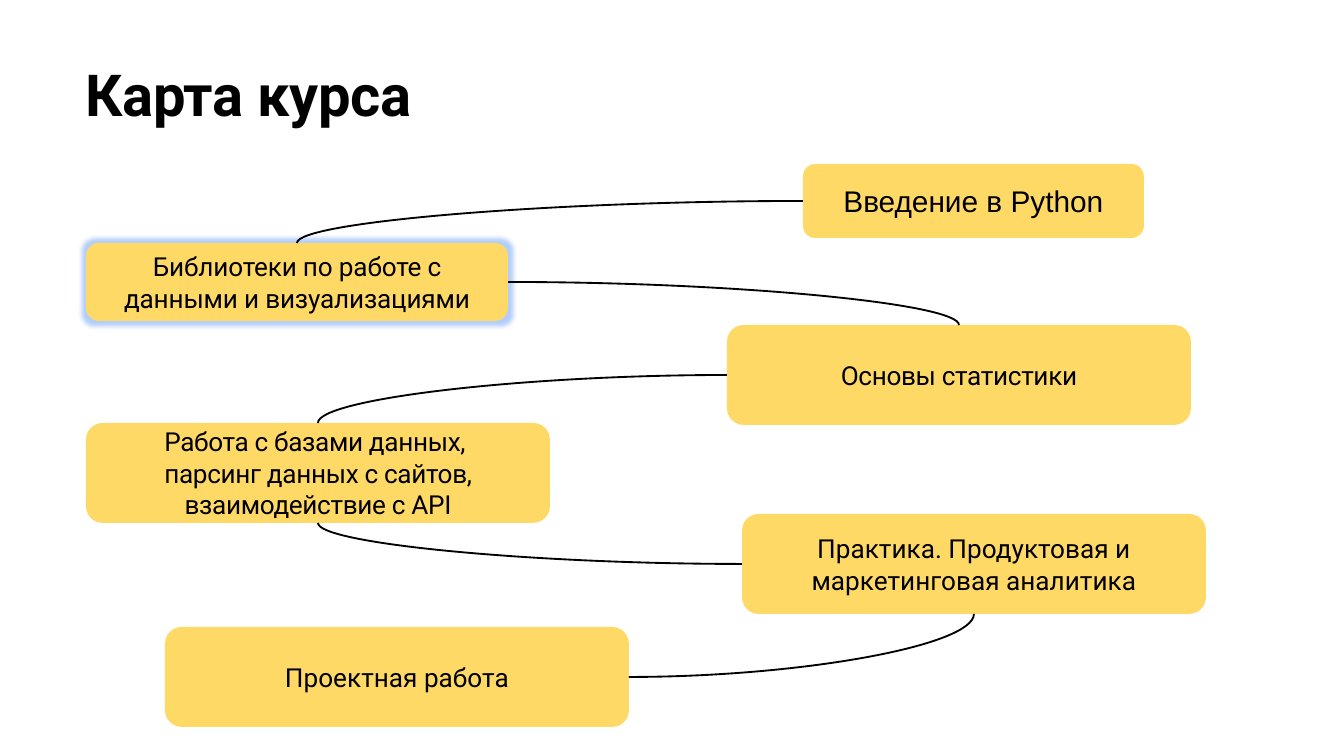
"""Builds the course map slide: six topic boxes joined by curved links."""
import pptx
import pptx.dml.color
import pptx.enum.shapes
import pptx.enum.text
import pptx.oxml
import pptx.oxml.ns
import pptx.util

PX = 914400 / 134.4
SLIDE_SIZE = 1344, 756
BLACK, YELLOW, GLOW = "000000", "FFD966", "4285F4"
TOP, LEFT, BOTTOM, RIGHT = range(4)
BIG = 464, 100

TITLE_AREA = 85, 56, 915, 73
TITLE_SPANS = [("Карта ", -0.3), ("курса", -0.1)]
TITLE_FONT = {"name": "Roboto", "size": pptx.util.Pt(31), "bold": True}
TOPIC_FONT = {"name": "Roboto", "size": pptx.util.Pt(14)}
INTRO_FONT = {"name": "Arial", "size": pptx.util.Pt(16)}

TOPICS = {
    "intro": ("Введение в Python", (803, 164), (341, 74), INTRO_FONT, 0),
    "libraries": ("Библиотеки по работе с данными и визуализациями",
                  (86, 243), (422, 78), TOPIC_FONT, -0.1),
    "statistics": ("Основы статистики", (727, 325), BIG, TOPIC_FONT, -0.2),
    "databases": ("Работа с базами данных, \vпарсинг данных с сайтов, взаимодействие с API",
                  (86, 423), BIG, TOPIC_FONT, -0.2),
    "practice": ("Практика. Продуктовая и маркетинговая аналитика",
                 (742, 514), BIG, TOPIC_FONT, 0),
    "project": ("Проектная работа", (165, 627), BIG, TOPIC_FONT, 0),
}
LINKS = [
    ("intro", LEFT, "libraries", TOP),
    ("libraries", RIGHT, "statistics", TOP),
    ("statistics", LEFT, "databases", TOP),
    ("practice", LEFT, "databases", BOTTOM),
    ("project", RIGHT, "practice", BOTTOM),
]


def px(length):
    """Turn pixels into EMU."""
    return pptx.util.Emu(round(length * PX))


def color(value):
    """Turn a hex string into a colour."""
    return pptx.dml.color.RGBColor.from_string(value)


def apply(target, values):
    """Set each attribute named in a dict."""
    for name, value in values.items():
        setattr(target, name, value)


def format_span(span, font, spacing):
    """Give a run its font, colour and letter spacing in points."""
    apply(span.font, font)
    span.font.color.rgb = color(BLACK)
    if spacing:
        span.font._element.set("spc", str(round(spacing * 100)))


def add_title(slide):
    """Fill and place the title placeholder."""
    title = slide.shapes.title
    apply(title, dict(zip(("left", "top", "width", "height"), map(px, TITLE_AREA))))
    apply(title.text_frame, {
        "margin_left": px(1), "margin_top": px(3), "margin_right": 0, "margin_bottom": 0,
        "word_wrap": True,
        "vertical_anchor": pptx.enum.text.MSO_ANCHOR.TOP,
        "auto_size": pptx.enum.text.MSO_AUTO_SIZE.SHAPE_TO_FIT_TEXT,
    })
    para = title.text_frame.paragraphs[0]
    apply(para, {"alignment": pptx.enum.text.PP_ALIGN.LEFT, "space_before": pptx.util.Pt(0)})
    for text, spacing in TITLE_SPANS:
        span = para.add_run()
        span.text = text
        format_span(span, TITLE_FONT, spacing)


def add_topic(slide, text, position, size, font, spacing):
    """Add one rounded topic box."""
    box = slide.shapes.add_shape(pptx.enum.shapes.MSO_SHAPE.ROUNDED_RECTANGLE,
                                 *map(px, position + size))
    box.shadow.inherit = False
    box.fill.solid()
    box.fill.fore_color.rgb = color(YELLOW)
    box.line.fill.background()
    apply(box.text_frame, {"word_wrap": True,
                           "vertical_anchor": pptx.enum.text.MSO_ANCHOR.MIDDLE})
    para = box.text_frame.paragraphs[0]
    para.text = text
    para.alignment = pptx.enum.text.PP_ALIGN.CENTER
    for span in para.runs:
        format_span(span, font, spacing)
    return box


def add_glow(box):
    """Surround a box with a soft glow."""
    effects = box._element.spPr.find(pptx.oxml.ns.qn("a:effectLst"))
    effects.append(pptx.oxml.parse_xml(
        f'<a:glow {pptx.oxml.ns.nsdecls("a")} rad="63500"><a:srgbClr val="{GLOW}">'
        '<a:alpha val="40000"/></a:srgbClr></a:glow>'))


def add_link(slide, start, start_site, end, end_site):
    """Join a side of one box to the top or bottom of another."""
    link = slide.shapes.add_connector(pptx.enum.shapes.MSO_CONNECTOR.CURVE, 0, 0, 0, 0)
    link.begin_connect(start, start_site)
    link.end_connect(end, end_site)
    link.line.color.rgb = color(BLACK)
    link.line.width = pptx.util.Pt(1)
    properties = link._element.spPr
    properties.find(pptx.oxml.ns.qn("a:prstGeom")).set("prst", "curvedConnector2")
    properties.append(pptx.oxml.parse_xml(f'<a:effectLst {pptx.oxml.ns.nsdecls("a")}/>'))


def main():
    """Build and save the deck."""
    deck = pptx.Presentation()
    deck.slide_width, deck.slide_height = map(px, SLIDE_SIZE)
    slide = deck.slides.add_slide(deck.slide_layouts.get_by_name("Title Only"))
    add_title(slide)
    boxes = {name: add_topic(slide, *topic) for name, topic in TOPICS.items()}
    add_glow(boxes["libraries"])
    for start, start_site, end, end_site in LINKS:
        add_link(slide, boxes[start], start_site, boxes[end], end_site)
    deck.save("out.pptx")


if __name__ == "__main__":
    main()
